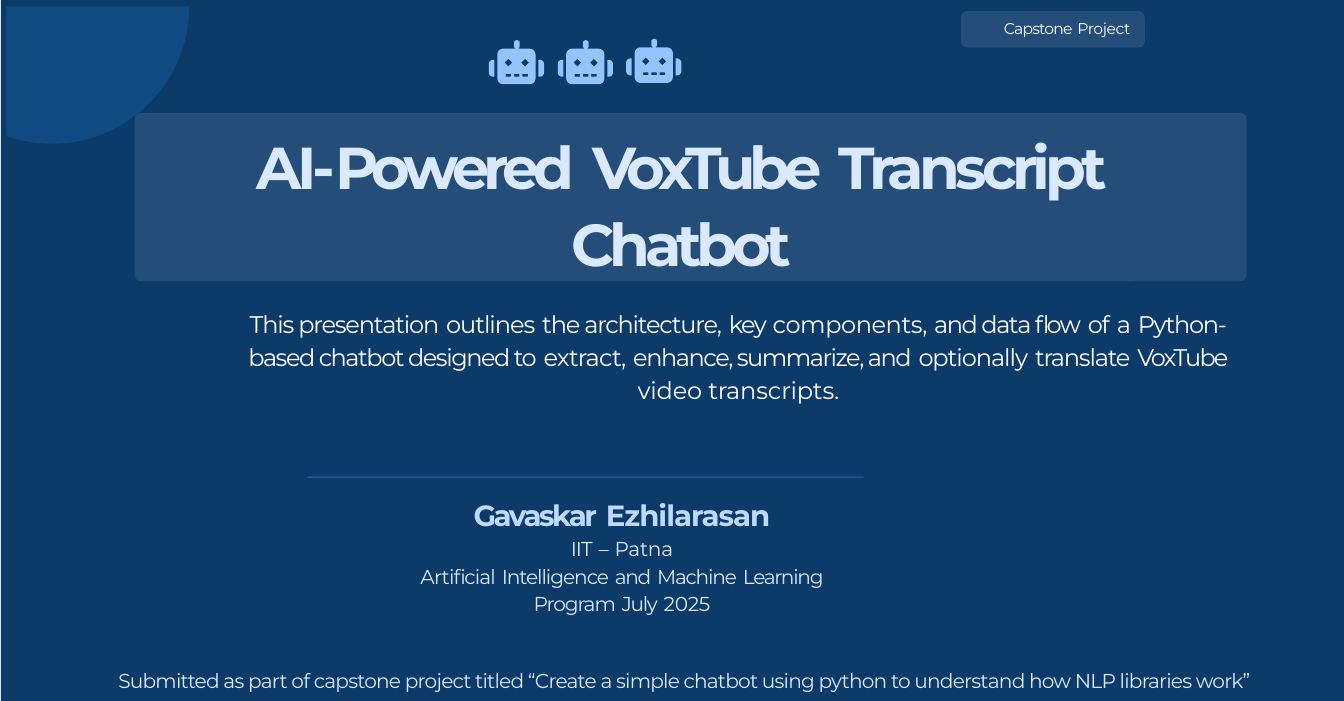
"""Build the title slide of a capstone project on a transcript chatbot."""
import math

import pptx
import pptx.dml.color
import pptx.enum.shapes
import pptx.enum.text
import pptx.oxml.ns
import pptx.util
from lxml import etree

Pt = pptx.util.Pt
Kind = pptx.enum.shapes.MSO_SHAPE
Align = pptx.enum.text.PP_ALIGN

HUES = {
    "navy": "0C3B6A",
    "white": "FFFFFF",
    "disc": "1D87E4",
    "robot": "93C4FD",
    "title": "DAE9FE",
    "name": "BEDAFE",
}

GAP = 0.5
TITLE = [("AI-", -3.1), ("Powered ", -4.6), ("VoxTube ", -4.8),
         ("Transcript ", -3.7), ("Chatbot", -4)]
LABEL = [("Capstone ", -0.6), ("Project", -0.3)]
INTRO = [("This presentation ", -0.9), ("outlines ", -0.8),
         ("the architecture, ", -0.9), ("key", -1.2), (" components, ", -0.3),
         ("and data flow ", -1.1), ("of ", -0.9), ("a ", -1.1),
         ("Python-", -1), ("based chatbot designed to ", -1.1),
         ("extract, ", -0.6), ("enhance, summarize, and ", -1.1),
         ("optionally ", -0.8), ("translate ", -0.9), ("VoxTube", -1.4),
         (" video transcripts.", -0.1)]
AUTHOR = [("Gavaskar ", -1.9), ("Ezhilarasan", -0.8)]
SCHOOL = [("IIT ", -0.7), ("– ", -0.8), ("Patna", -0.2)]
COURSE = [("Artificial ", -0.6), ("Intelligence ", -0.8), ("and ", -1.1),
          ("Machine ", -0.9), ("Learning ", -1), ("Program ", -0.8),
          ("July ", -1), ("2025", -0.2)]
CLOSING = [("Submitted as part of capstone project titled “Create a simple "
            "chatbot using python to understand how NLP libraries work”", -0.6)]


def assign(item, values):
    """Set each named attribute of an item."""
    for name, value in values.items():
        setattr(item, name, value)


def color(hue):
    """Return the RGB colour of a named hue."""
    return pptx.dml.color.RGBColor.from_string(HUES[hue])


def paint(shape, hue, alpha=None):
    """Fill a shape without line or shadow, with alpha in percent."""
    shape.shadow.inherit = False
    shape.line.fill.background()
    shape.fill.solid()
    shape.fill.fore_color.rgb = color(hue)
    if alpha:
        tone = shape.fill._xPr.find(".//" + pptx.oxml.ns.qn("a:srgbClr"))
        etree.SubElement(tone, pptx.oxml.ns.qn("a:alpha"), val=str(alpha * 1000))


def panel(slide, box, hue, alpha=None, radius=0):
    """Add a plain or rounded rectangle."""
    kind = Kind.ROUNDED_RECTANGLE if radius else Kind.RECTANGLE
    shape = slide.shapes.add_shape(kind, *map(Pt, box))
    if radius:
        shape.adjustments[0] = radius / min(box[2:])
    paint(shape, hue, alpha)


def outline(slide, loops, hue, alpha=None):
    """Add one freeform made of closed loops of points."""
    loops = [[(Pt(x), Pt(y)) for x, y in loop] for loop in loops]
    pen = slide.shapes.build_freeform(*loops[0][0], scale=1.0)
    for index, loop in enumerate(loops):
        if index:
            pen.move_to(*loop[0])
        pen.add_line_segments(loop[1:], close=True)
    paint(pen.convert_to_shape(), hue, alpha)


def arc(x, y, radius, start, end, steps):
    """Return points along an arc, with angles in degrees."""
    angles = [math.radians(start + (end - start) * i / steps)
              for i in range(steps + 1)]
    return [(x + radius * math.cos(a), y + radius * math.sin(a))
            for a in angles]


def block(x, y, wide, high, left=0, right=0):
    """Return a rectangle loop with rounded left and right corners."""
    end, base = x + wide, y + high
    corners = [(end - right, base - right, right, 0),
               (x + left, base - left, left, 90),
               (x + left, y + left, left, 180),
               (end - right, y + right, right, 270)]
    return [point for cx, cy, radius, turn in corners
            for point in arc(cx, cy, radius, turn, turn + 90, 4)]


def robot(slide, x, y):
    """Add a robot head with cut-out eyes and teeth."""
    loops = [block(x + 19.4, y, 4.4, 6.5, 2, 2),
             block(x + 6.5, y + 6.5, 29.5, 27.4, 4.5, 4.5),
             block(x, y + 15.1, 4.3, 13, 3.2, 0),
             block(x + 38.2, y + 15.1, 4.3, 13, 0, 3.2)]
    loops += [arc(x + eye, y + 17.3, 3, 0, 270, 3) for eye in (15.1, 27.9)]
    loops += [block(x + 13 + 6.4 * i, y + 25.9, 4.2, 2.1) for i in range(3)]
    outline(slide, loops, "robot")


def write(par, runs, size, hue, bold=False, **form):
    """Fill a paragraph with tracked runs, their last space set wider."""
    assign(par, form)
    for text, track in runs:
        word = text.rstrip()
        for part, space in ((word, track), (text[len(word):], GAP)):
            if part:
                run = par.add_run()
                run.text = part
                assign(run.font, {"name": "Montserrat", "size": Pt(size),
                                  "bold": bold})
                run.font.color.rgb = color(hue)
                run._r.get_or_add_rPr().set("spc", str(round(space * 100)))


def frame(shape, top=0.7, side=0, base=0):
    """Format the text frame of a shape and return it."""
    text = shape.text_frame
    assign(text, {
        "word_wrap": True,
        "auto_size": pptx.enum.text.MSO_AUTO_SIZE.NONE,
        "vertical_anchor": pptx.enum.text.MSO_ANCHOR.TOP,
        "margin_left": Pt(side), "margin_right": Pt(side),
        "margin_top": Pt(top), "margin_bottom": Pt(base),
    })
    return text


def label(slide, box, *pars, **inset):
    """Add a text box with one paragraph for each set of values."""
    text = frame(slide.shapes.add_textbox(*map(Pt, box)), **inset)
    for index, values in enumerate(pars):
        par = text.add_paragraph() if index else text.paragraphs[0]
        write(par, **values)


def head(slide, box):
    """Place the title in front and fill it."""
    shape = slide.shapes.title
    assign(shape, dict(zip(("left", "top", "width", "height"), map(Pt, box))))
    shape._element.getparent().append(shape._element)
    write(frame(shape).paragraphs[0], TITLE, 45.5, "title", True,
          alignment=Align.CENTER, line_spacing=1.08, space_before=Pt(0.9))


def main():
    """Build and save the slide."""
    deck = pptx.Presentation()
    assign(deck, {"slide_width": Pt(1035.4), "slide_height": Pt(540)})
    slide = deck.slides.add_slide(deck.slide_layouts[5])
    mid = {"alignment": Align.CENTER}
    loose = {"alignment": Align.CENTER, "line_spacing": 1.14}

    panel(slide, (0.7, 0, 1034.7, 540), "navy")
    panel(slide, (740.2, 8.6, 141.8, 28.1), "white", 10, 5)
    label(slide, (773.4, 13.7, 98.6, 16.6),
          dict(runs=LABEL, size=12, hue="white", space_before=Pt(0.9)))
    disc = arc(40, 5, 105.8, 0, 109.3, 40)
    outline(slide, [[(5, 5)] + disc + [(5, disc[-1][1])]], "disc", 20)
    panel(slide, (103.7, 87.1, 856.8, 129.6), "white", 10, 5)
    head(slide, (193.8, 95.4, 662.5, 120.2))
    label(slide, (169.9, 234.5, 797.8, 75.6),
          dict(runs=INTRO, size=18.5, hue="white", space_before=Pt(0.9), **loose))
    panel(slide, (236.9, 367.2, 428.4, 0.7), "robot", 30)
    label(slide, (292, 377.3, 374.4, 95.8),
          dict(runs=AUTHOR, size=22.5, hue="name", bold=True,
               space_before=Pt(5.6), **mid),
          dict(runs=SCHOOL, size=15.5, hue="title", space_before=Pt(3.2), **mid),
          dict(runs=COURSE, size=15.5, hue="title", **loose), top=5.8)
    for x, y in ((376.6, 31), (429.7, 31), (482.4, 30)):
        robot(slide, x, y)
    label(slide, (46.2, 509, 961.9, 27.4),
          dict(runs=CLOSING, size=15.5, hue="title", **loose),
          top=3.6, side=7.2, base=3.6)
    deck.save("out.pptx")


if __name__ == "__main__":
    main()
